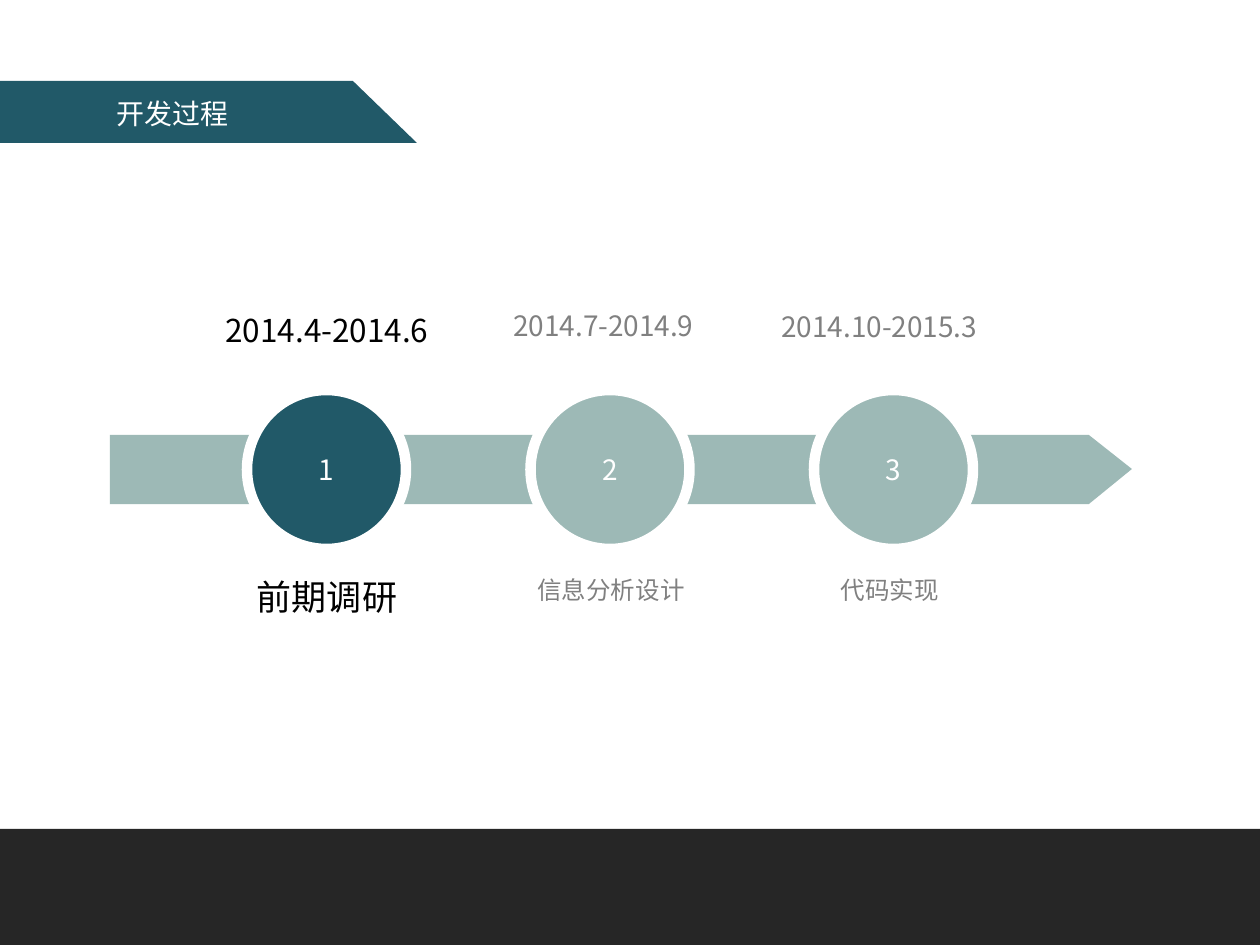
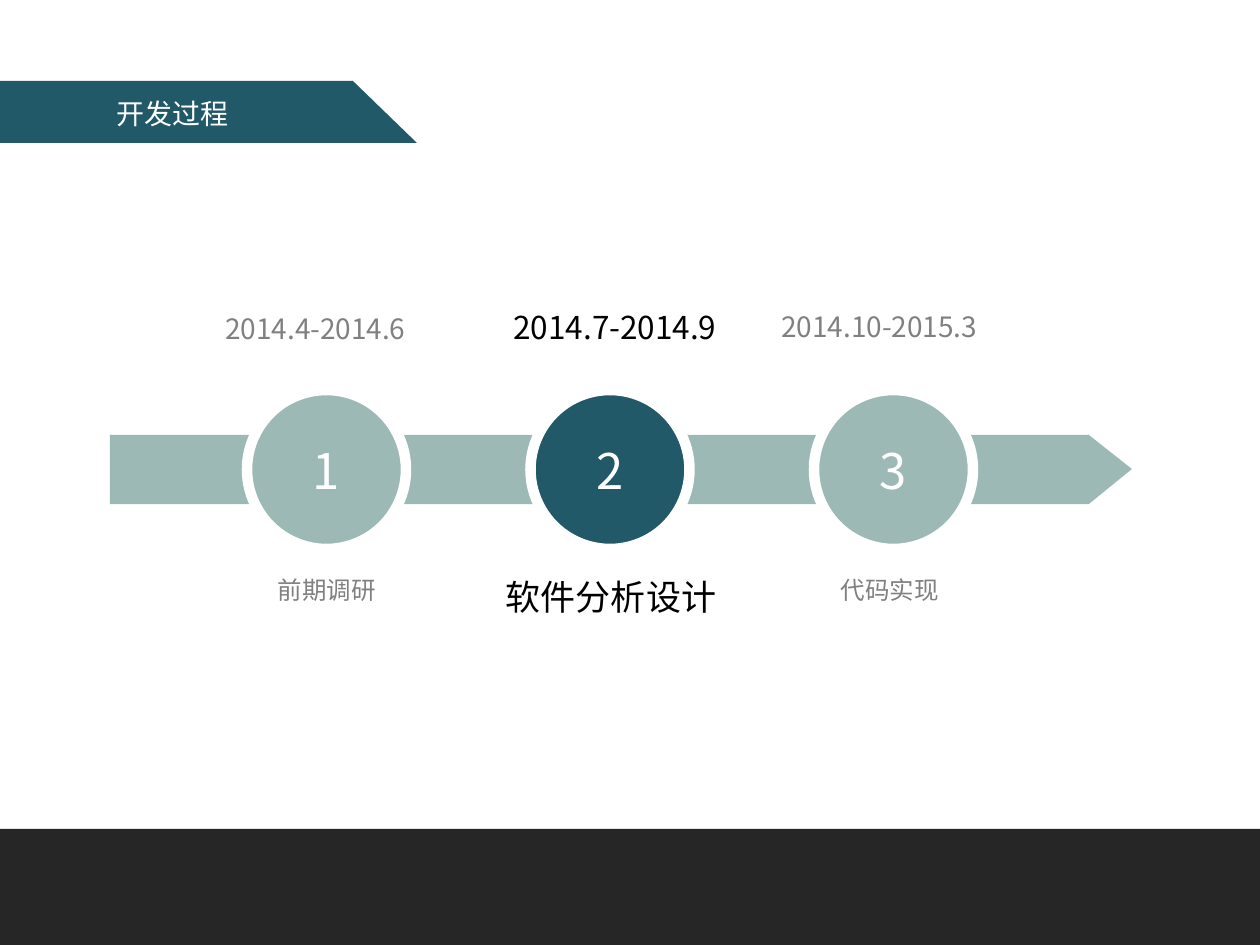
from lxml import etree
from pptx import Presentation
from pptx.dml.color import RGBColor
from pptx.enum.shapes import MSO_SHAPE
from pptx.enum.text import MSO_ANCHOR, MSO_AUTO_SIZE, PP_ALIGN
from pptx.oxml.ns import qn
from pptx.util import Pt

PX = 914400 / 126
OVAL, RECT = MSO_SHAPE.OVAL, MSO_SHAPE.RECTANGLE
MIDDLE, FIT = MSO_ANCHOR.MIDDLE, MSO_AUTO_SIZE.SHAPE_TO_FIT_TEXT
LEFT, CENTER, JUSTIFY = PP_ALIGN.LEFT, PP_ALIGN.CENTER, PP_ALIGN.JUSTIFY
FONT = "Noto Sans CJK SC"
COLORS = {"teal": "215968", "sage": "9DB9B6", "dark": "262626",
          "white": "FFFFFF", "black": "000000", "gray": "808080"}
SLIDE_W, SLIDE_H = 1260, 945
FOOTER_TOP = 829
TITLE = "开发过程"
BANNER = [(0, 81), (353, 81), (417, 143), (0, 143)]
ARROW = [(110, 435), (1089, 435), (1132, 469), (1089, 504), (110, 504)]
CIRCLE_LEFT, CIRCLE_TOP, CIRCLE_SIZE, STEP_PITCH = 247, 390, 159, 567 / 2
CAPTION_TOP = 569
DATES = [("2014.4-2014.6", 213, 305), ("2014.7-2014.9", 501, 302),
         ("2014.10-2015.3", 769, 303)]
CAPTION_CENTERS = [329, 613, 892]
STAGES = [
    {"active": 0, "number_size": 16, "captions": ["前期调研", "信息分析设计", "代码实现"]},
    {"active": 1, "number_size": 28, "captions": ["前期调研", "软件分析设计", "代码实现"]},
]


def px(n):
    """Turn pixels into EMU."""
    return round(n * PX)


def rgb(name):
    """Look up a named colour."""
    return RGBColor.from_string(COLORS[name])


def paint(sp, fill):
    """Give a shape a flat fill with no line or shadow."""
    sp.shadow.inherit = False
    sp.fill.solid()
    sp.fill.fore_color.rgb = rgb(fill)
    sp.line.fill.background()


def add_run(p, text, size, color):
    """Add one run in the deck font for Latin and East Asian text."""
    r = p.add_run()
    r.text = text
    r.font.size = Pt(size)
    r.font.name = FONT
    r.font.color.rgb = rgb(color)
    etree.SubElement(r.font._element, qn("a:ea")).set("typeface", FONT)


def add_block(s, kind, left, top, width, height, fill):
    """Add a flat preset shape."""
    sp = s.shapes.add_shape(kind, px(left), px(top), px(width), px(height))
    paint(sp, fill)
    return sp


def add_outline(s, points, fill):
    """Add a flat closed polygon."""
    builder = s.shapes.build_freeform(*points[0], scale=PX)
    builder.add_line_segments(points[1:], close=True)
    paint(builder.convert_to_shape(), fill)


def add_label(s, text, left, top, width, size, color, align=LEFT):
    """Add a one-line text box that fits its text."""
    sp = s.shapes.add_textbox(px(left), px(top), px(width), px(2 * size + 15))
    tf = sp.text_frame
    tf.word_wrap = False
    tf.auto_size = FIT
    p = tf.paragraphs[0]
    p.alignment = align
    add_run(p, text, size, color)


def add_circle(s, i, number_size, fill):
    """Add a numbered step circle with a white ring."""
    sp = add_block(s, OVAL, CIRCLE_LEFT + i * STEP_PITCH, CIRCLE_TOP,
                   CIRCLE_SIZE, CIRCLE_SIZE, fill)
    sp.line.color.rgb = rgb("white")
    sp.line.width = Pt(6)
    tf = sp.text_frame
    tf.vertical_anchor = MIDDLE
    p = tf.paragraphs[0]
    p.alignment = CENTER
    add_run(p, str(i + 1), number_size, "white")


def add_step(s, i, caption, number_size, active):
    """Add a step's circle, date and caption, emphasised when active."""
    add_circle(s, i, number_size, "teal" if active else "sage")
    color = "black" if active else "gray"
    date, left, top = DATES[i]
    date_size, caption_size = (18, 20) if active else (16, 14)
    add_label(s, date, left, top, len(date) * date_size * 0.88 + 26, date_size, color)
    width = len(caption) * caption_size * 1.75 + 29
    add_label(s, caption, CAPTION_CENTERS[i] - width / 2, CAPTION_TOP, width,
              caption_size, color, JUSTIFY)


def add_frame(s):
    """Add the footer band and title banner shared by the slides."""
    add_block(s, RECT, 0, FOOTER_TOP, SLIDE_W, SLIDE_H - FOOTER_TOP, "dark")
    add_outline(s, BANNER, "teal")
    add_label(s, TITLE, 104, 90, 138, 16, "white")


def add_timeline(s, active, number_size, captions):
    """Add the arrow and its steps."""
    add_outline(s, ARROW, "sage")
    for i, caption in enumerate(captions):
        add_step(s, i, caption, number_size, i == active)


def main():
    """Build and save the deck."""
    prs = Presentation()
    prs.slide_width, prs.slide_height = px(SLIDE_W), px(SLIDE_H)
    for stage in STAGES:
        s = prs.slides.add_slide(prs.slide_layouts[6])
        add_frame(s)
        add_timeline(s, **stage)
    prs.save("out.pptx")


if __name__ == "__main__":
    main()
